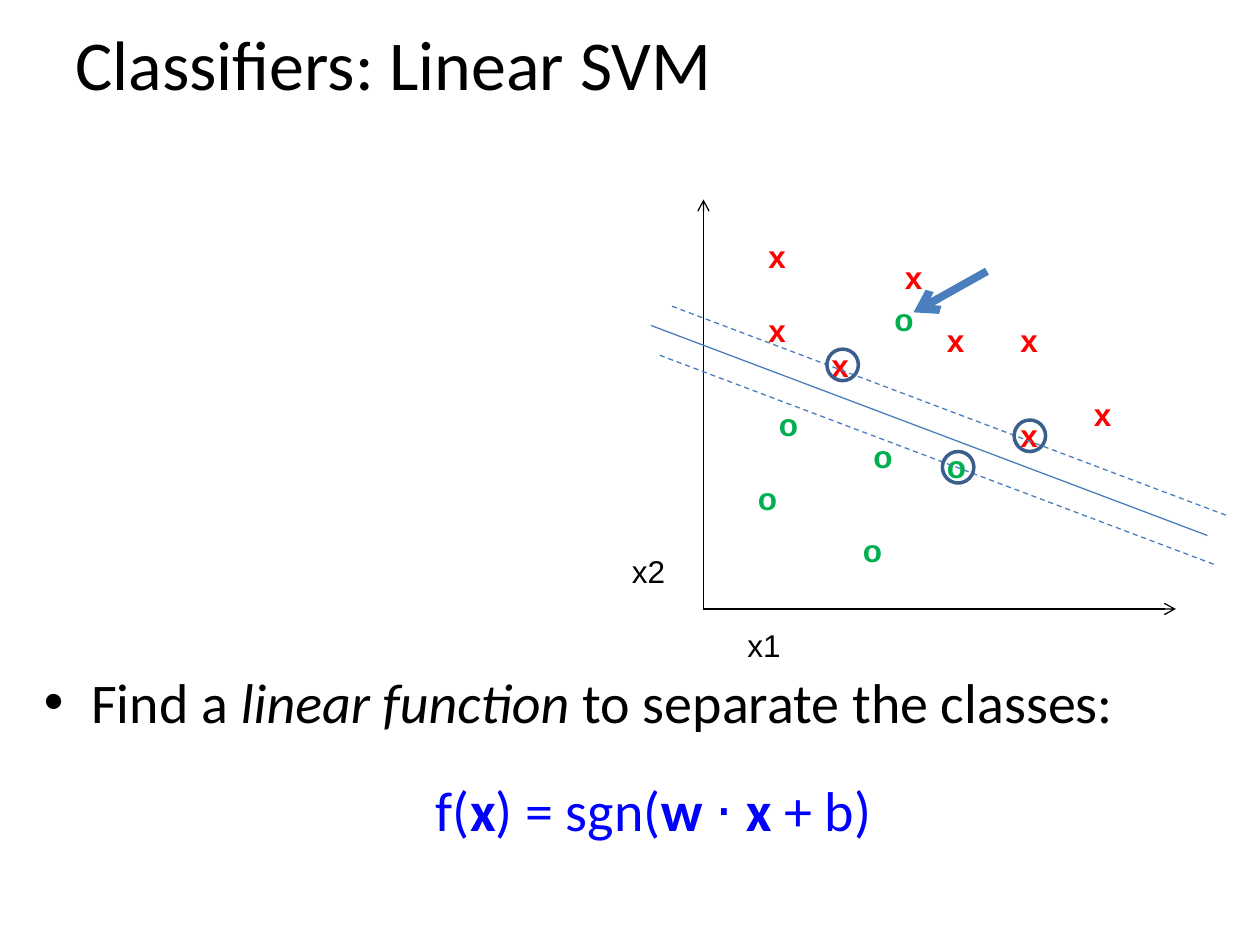
from lxml import etree
from pptx import Presentation
from pptx.dml.color import RGBColor
from pptx.enum.dml import MSO_LINE
from pptx.enum.shapes import MSO_CONNECTOR, MSO_SHAPE
from pptx.enum.text import MSO_ANCHOR, PP_ALIGN
from pptx.oxml.ns import qn
from pptx.util import Pt

STRAIGHT = MSO_CONNECTOR.STRAIGHT
ELLIPSE = MSO_SHAPE.OVAL
DASH = MSO_LINE.DASH
MIDDLE, TOP = MSO_ANCHOR.MIDDLE, MSO_ANCHOR.TOP
CENTER = PP_ALIGN.CENTER

BLACK, RED, GREEN, BLUE = "000000", "FF0000", "00B050", "0000FF"
LINE_BLUE, RING_BLUE = "4B7EBC", "3A5F8C"

X_SAMPLES = [(534, 180), (576, 180), (576, 234), (618, 222),
             (432, 132), (432, 174), (510, 144), (468, 194)]
O_SAMPLES = [(504, 168), (534, 252), (426, 270), (438, 228), (486, 300), (492, 246)]
SUPPORT_VECTORS = [(472.5, 199.5), (579.5, 240), (538.5, 258)]
ORIGIN = (402, 348)
AXIS_ENDS = [(402, 114), (672, 348)]
BOUNDARIES = [(372, 186, None), (384, 175, DASH), (377, 203, DASH)]
BOUNDARY_RUN, BOUNDARY_DROP = 318, 120


def color(hex_value):
    """Turn a hex string into a colour."""
    return RGBColor.from_string(hex_value)


def add_runs(paragraph, runs, size, font, hex_value):
    """Add (text, bold, italic) runs in one font, size and colour."""
    for text, bold, italic in runs:
        run = paragraph.add_run()
        run.text = text
        run.font.size = Pt(size)
        run.font.name = font
        run.font.bold = bold
        run.font.italic = italic
        run.font.color.rgb = color(hex_value)


def add_text_frame(slide, left, top, width, height, wrap=True, anchor=TOP):
    """Add a text box and return its text frame."""
    box = slide.shapes.add_textbox(Pt(left), Pt(top), Pt(width), Pt(height))
    frame = box.text_frame
    frame.word_wrap = wrap
    frame.vertical_anchor = anchor
    return frame


def add_label(slide, text, left, top, width, hex_value, bold=False):
    """Add a short mark or axis label to the plot."""
    frame = add_text_frame(slide, left, top, width, 29, wrap=False)
    add_runs(frame.paragraphs[0], [(text, bold, False)], 18, "Arial", hex_value)


def add_line(slide, start, end, hex_value, width=0.75, dash=None, arrow=False):
    """Add a straight line, optionally dashed or with an arrowhead at its end."""
    connector = slide.shapes.add_connector(STRAIGHT, *map(Pt, start + end))
    connector.line.color.rgb = color(hex_value)
    connector.line.width = Pt(width)
    if dash:
        connector.line.dash_style = dash
    if arrow:
        line_xml = connector.line._get_or_add_ln()
        etree.SubElement(line_xml, qn("a:tailEnd"), type="arrow")
    etree.SubElement(connector._element.spPr, qn("a:effectLst"))


def add_ring(slide, left, top):
    """Circle one support vector."""
    ring = slide.shapes.add_shape(ELLIPSE, Pt(left), Pt(top), Pt(18), Pt(18))
    ring.shadow.inherit = False
    ring.fill.background()
    ring.line.color.rgb = color(RING_BLUE)
    ring.line.width = Pt(2)


def set_indent(paragraph, first_line, bullet=None):
    """Set the left margin and first-line indent, with an optional bullet."""
    properties = paragraph._p.get_or_add_pPr()
    properties.set("marL", str(Pt(27)))
    properties.set("indent", str(Pt(first_line)))
    if bullet:
        etree.SubElement(properties, qn("a:buFont"), typeface="Arial")
        etree.SubElement(properties, qn("a:buChar"), char=bullet)


def add_plot(slide):
    """Draw the samples, axes, separating line, margins and support vectors."""
    for left, top in X_SAMPLES:
        add_label(slide, "x", left, top, 24.5, RED, bold=True)
    for left, top in O_SAMPLES:
        add_label(slide, "o", left, top, 26, GREEN, bold=True)
    for axis_end in AXIS_ENDS:
        add_line(slide, ORIGIN, axis_end, BLACK, arrow=True)
    add_label(slide, "x2", 354, 312, 34, BLACK)
    add_label(slide, "x1", 420, 354, 34, BLACK)
    for left, top, dash in BOUNDARIES:
        end = (left + BOUNDARY_RUN, top + BOUNDARY_DROP)
        add_line(slide, (left, top), end, LINE_BLUE, dash=dash)
    for left, top in SUPPORT_VECTORS:
        add_ring(slide, left, top)
    add_line(slide, (564, 155), (522, 178.5), LINE_BLUE, width=4.5, arrow=True)


def add_explanation(slide):
    """Add the bullet and the decision function below the plot."""
    frame = add_text_frame(slide, 18, 378, 684, 104)
    goal = frame.paragraphs[0]
    set_indent(goal, -27, "•")
    add_runs(goal, [("Find a ", False, False), ("linear function ", False, True),
                    ("to separate the classes:", False, False)], 32, "Calibri", BLACK)
    formula = frame.add_paragraph()
    set_indent(formula, 0)
    formula.alignment = CENTER
    formula.space_before = Pt(23)
    parts = ["f(", "x", ") = sgn(", "w ", "⋅ ", "x ", "+ b)"]
    formula_runs = [(part, index % 2 == 1, False) for index, part in enumerate(parts)]
    add_runs(formula, formula_runs, 32, "Calibri", BLUE)


def main():
    """Build and save the slide."""
    presentation = Presentation()
    presentation.slide_width, presentation.slide_height = Pt(720), Pt(540)
    slide = presentation.slides.add_slide(presentation.slide_layouts[6])
    title = add_text_frame(slide, 36, 0, 648, 72, anchor=MIDDLE)
    add_runs(title.paragraphs[0], [("Classifiers: Linear SVM", False, False)],
             40, "Calibri", BLACK)
    add_plot(slide)
    add_explanation(slide)
    presentation.save("out.pptx")


if __name__ == "__main__":
    main()
